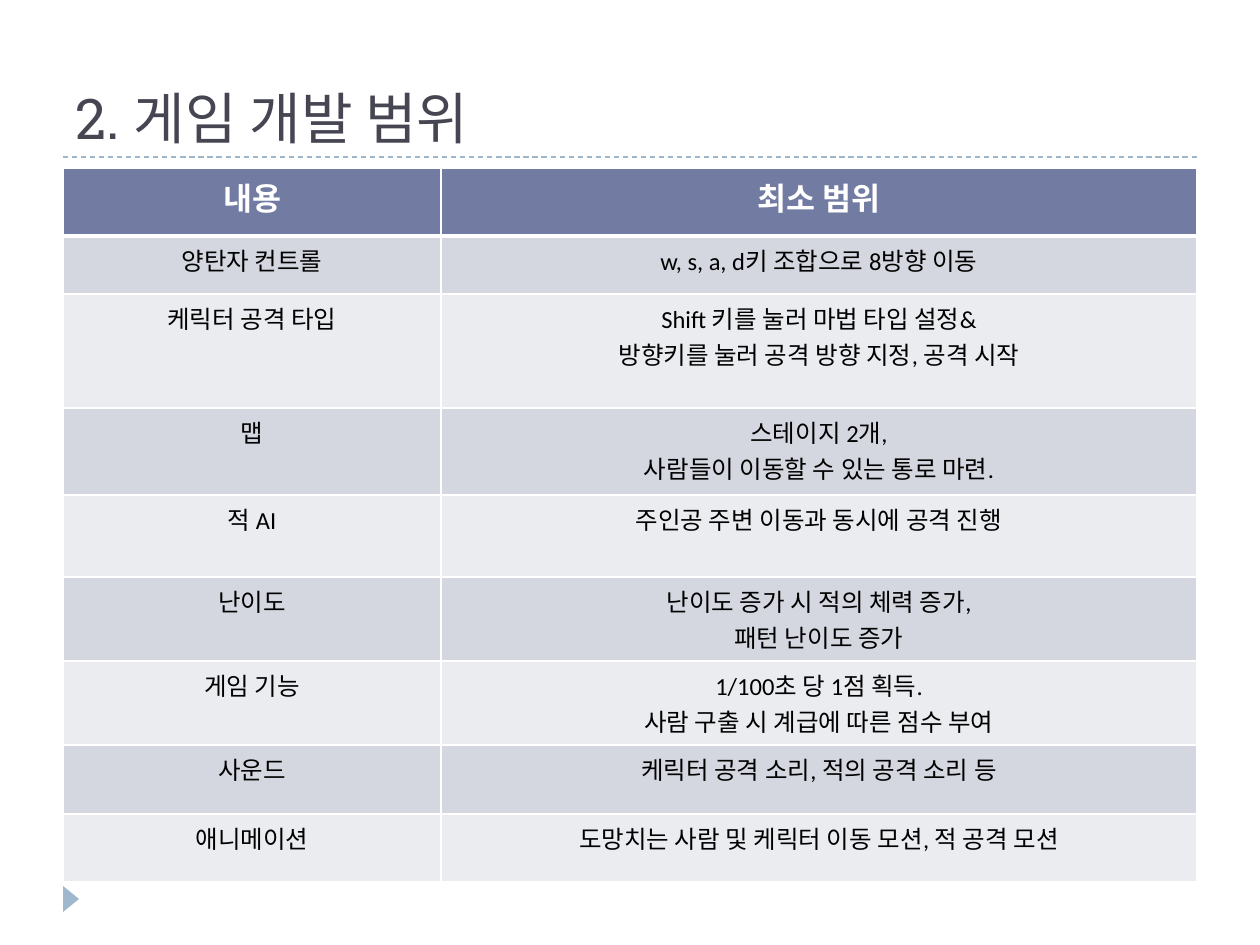
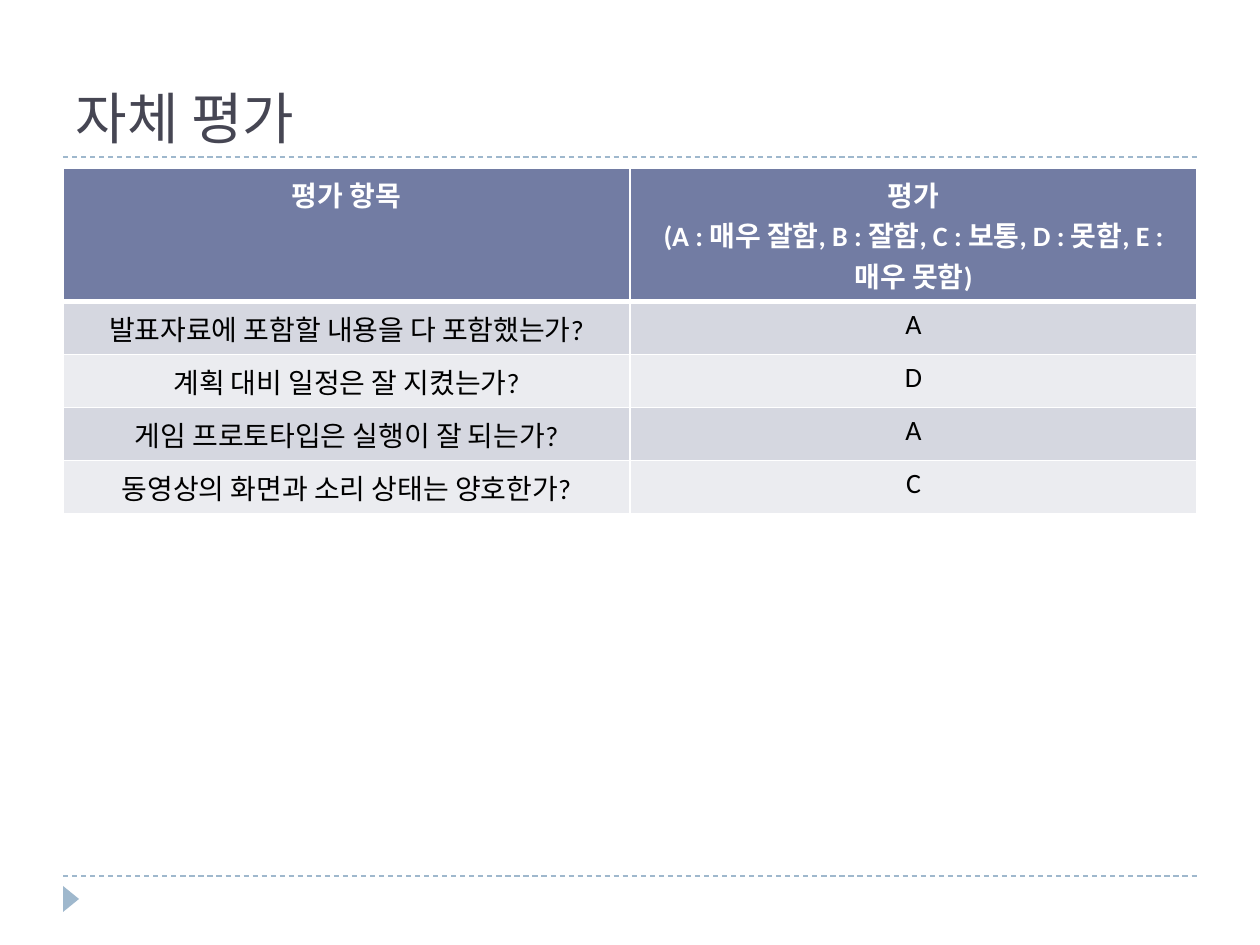
from lxml import etree
from pptx import Presentation
from pptx import util as u
from pptx.dml.color import RGBColor
from pptx.enum import dml, shapes, text
from pptx.oxml import ns

# Shared style
WHITE = RGBColor(0xFF, 0xFF, 0xFF)
BLACK = RGBColor(0, 0, 0)
TITLE_INK = RGBColor(0x46, 0x46, 0x53)
ACCENT = RGBColor(0x9F, 0xB8, 0xCD)
HEADER = RGBColor(0x72, 0x7C, 0xA3)
BANDS = (RGBColor(0xD5, 0xD7, 0xE0), RGBColor(0xEB, 0xEC, 0xF0))
TITLE_FONT, BODY_FONT = "Roboto Slab", "Calibri"

PX_PER_INCH = 126
WIDTH, HEIGHT = 1260, 945
LEFT, CONTENT_WIDTH = 63, 1134
RULE_TOP, RULE_BOTTOM, TABLE_TOP = 157, 876, 168
TITLE_ONLY = 5


def px(length):
    return u.Emu(round(length * 914400 / PX_PER_INCH))


class Deck:
    """Holds the presentation, its style and the current slide."""

    def __init__(self):
        self.presentation = Presentation()
        self.presentation.slide_width = px(WIDTH)
        self.presentation.slide_height = px(HEIGHT)
        self.slide = None

    def add_slide(self, title):
        layout = self.presentation.slide_layouts[TITLE_ONLY]
        self.slide = self.presentation.slides.add_slide(layout)
        self.rule(RULE_BOTTOM)
        self.rule(RULE_TOP)
        self.corner_marker()
        self.title(title)

    def title(self, words):
        shape = self.slide.shapes.title
        shape.left, shape.top = px(LEFT), px(21)
        shape.width, shape.height = px(CONTENT_WIDTH), px(136)
        frame = shape.text_frame
        frame.text = words
        frame.vertical_anchor = text.MSO_ANCHOR.BOTTOM
        self.format(frame.paragraphs[0], 32, TITLE_INK, TITLE_FONT,
                    alignment=text.PP_ALIGN.LEFT)

    def format(self, paragraph, size, color, font=BODY_FONT, bold=False,
               alignment=text.PP_ALIGN.CENTER):
        paragraph.alignment = alignment
        paragraph.font.name = font
        paragraph.font.size = u.Pt(size)
        paragraph.font.bold = bold
        paragraph.font.color.rgb = color

    def rule(self, y):
        line = self.slide.shapes.add_connector(
            shapes.MSO_CONNECTOR.STRAIGHT,
            px(LEFT), px(y), px(LEFT + CONTENT_WIDTH), px(y))
        line.line.color.rgb = ACCENT
        line.line.width = u.Pt(0.75)
        line.line.dash_style = dml.MSO_LINE.DASH
        etree.SubElement(line._element.spPr, ns.qn("a:effectLst"))

    def corner_marker(self):
        shape = self.slide.shapes.add_shape(
            shapes.MSO_SHAPE.ISOSCELES_TRIANGLE,
            px(58), px(891), px(26), px(16))
        shape.rotation = 90
        shape.shadow.inherit = False
        shape.fill.solid()
        shape.fill.fore_color.rgb = ACCENT
        shape.line.fill.background()

    def table(self, rows, column_widths, row_heights, header_size, body_size):
        table = self.slide.shapes.add_table(
            len(rows), len(column_widths), px(LEFT), px(TABLE_TOP),
            px(sum(column_widths)), px(sum(row_heights))).table
        for column, width in zip(table.columns, column_widths):
            column.width = px(width)
        for index, (row, height, words) in enumerate(
                zip(table.rows, row_heights, rows)):
            row.height = px(height)
            is_header = index == 0
            for cell, content in zip(row.cells, words):
                cell.text = content
                cell.fill.solid()
                cell.fill.fore_color.rgb = (
                    HEADER if is_header else BANDS[(index - 1) % 2])
                for paragraph in cell.text_frame.paragraphs:
                    self.format(paragraph,
                                header_size if is_header else body_size,
                                WHITE if is_header else BLACK,
                                bold=is_header)
                self.cell_borders(cell, top=3 if index == 1 else 1,
                                  bottom=3 if is_header else 1)

    def cell_borders(self, cell, top, bottom):
        properties = cell._tc.get_or_add_tcPr()
        sides = (("L", 1), ("R", 1), ("T", top), ("B", bottom))
        for position, (side, points) in enumerate(sides):
            border = etree.Element(ns.qn(f"a:ln{side}"), w=str(u.Pt(points)))
            fill = etree.SubElement(border, ns.qn("a:solidFill"))
            etree.SubElement(fill, ns.qn("a:srgbClr"), val=str(WHITE))
            properties.insert(position, border)


def main():
    deck = Deck()

    # Development scope
    deck.add_slide("2. 게임 개발 범위")
    scope = [
        ("내용", "최소 범위"),
        ("양탄자 컨트롤", "w, s, a, d키 조합으로 8방향 이동"),
        ("케릭터 공격 타입",
         "Shift 키를 눌러 마법 타입 설정&\n방향키를 눌러 공격 방향 지정, 공격 시작"),
        ("맵", "스테이지 2개,\n사람들이 이동할 수 있는 통로 마련."),
        ("적 AI", "주인공 주변 이동과 동시에 공격 진행"),
        ("난이도", "난이도 증가 시 적의 체력 증가,\n패턴 난이도 증가"),
        ("게임 기능", "1/100초 당 1점 획득.\n사람 구출 시 계급에 따른 점수 부여"),
        ("사운드", "케릭터 공격 소리, 적의 공격 소리 등"),
        ("애니메이션", "도망치는 사람 및 케릭터 이동 모션, 적 공격 모션"),
    ]
    deck.table(scope, (378, 756), (68, 58, 114, 87, 82, 84, 84, 69, 68),
               header_size=18, body_size=14)

    # Self-assessment
    deck.add_slide("자체 평가")
    assessment = [
        ("평가 항목",
         "평가\n(A : 매우 잘함, B : 잘함, C : 보통, D : 못함, E : 매우 못함)"),
        ("발표자료에 포함할 내용을 다 포함했는가?", "A"),
        ("계획 대비 일정은 잘 지켰는가?", "D"),
        ("게임 프로토타입은 실행이 잘 되는가?", "A"),
        ("동영상의 화면과 소리 상태는 양호한가?", "C"),
    ]
    deck.table(assessment, (567, 567), [133] + [53] * 4,
               header_size=16, body_size=16)

    deck.presentation.save("out.pptx")


if __name__ == "__main__":
    main()
